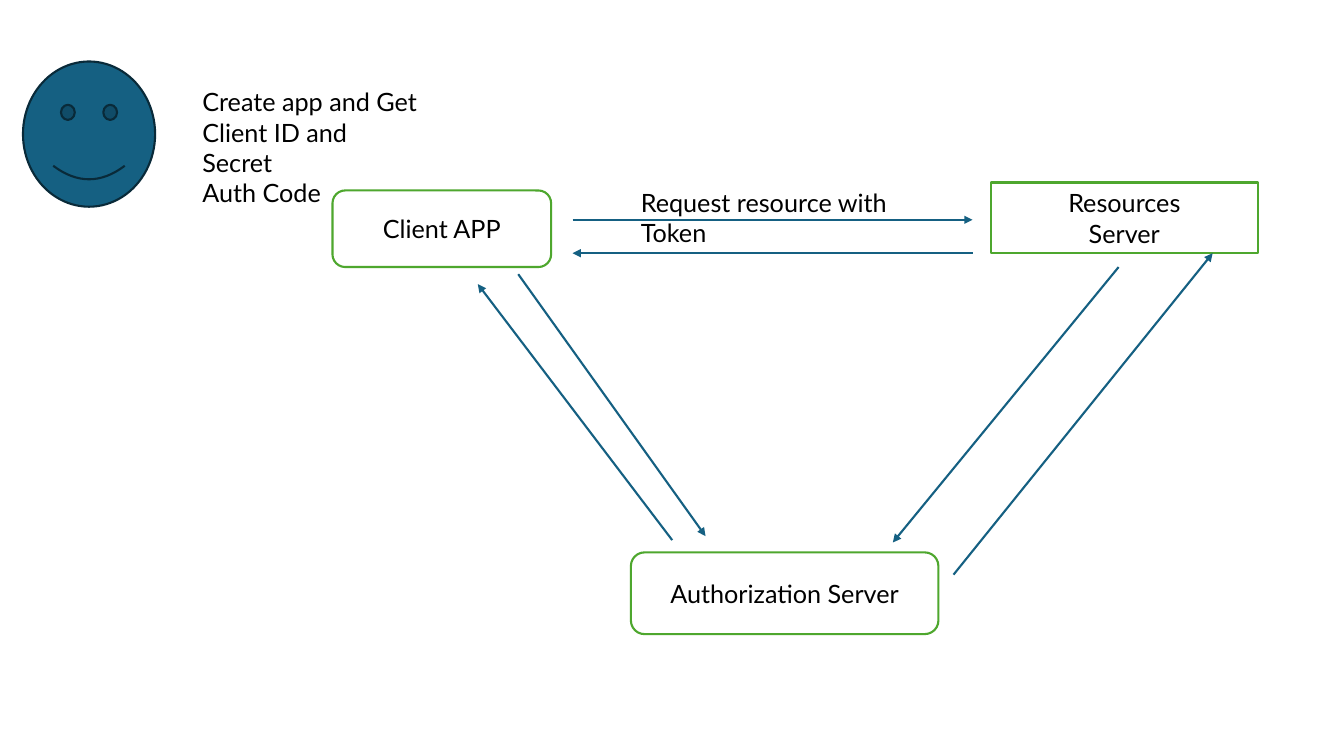
from pptx import Presentation
from pptx.dml.color import RGBColor
from pptx.enum.shapes import MSO_CONNECTOR, MSO_SHAPE
from pptx.enum.text import MSO_ANCHOR, PP_ALIGN
from pptx.oxml.ns import qn
from pptx.util import Cm, Pt
from lxml.etree import SubElement

BLUE = RGBColor(0x15, 0x60, 0x82)
NAVY = RGBColor(0x09, 0x2A, 0x39)
GREEN = RGBColor(0x4E, 0xA7, 0x2E)
WHITE = RGBColor(0xFF, 0xFF, 0xFF)
BLACK = RGBColor(0x00, 0x00, 0x00)

# Boxes: left, top, width, height in cm
USER = (0.58, 1.55, 3.33, 3.66)
NOTE = (4.85, 2.06, 6.02, 2.57)
CLIENT = (8.38, 4.8, 5.51, 1.93)
AUTH = (15.9, 13.92, 7.75, 2.06)
RESOURCES = (24.97, 4.6, 6.73, 1.78)


def write(tf, lines, align):
    tf.word_wrap = True
    p = tf.paragraphs[0]
    p.alignment = align
    for i, line in enumerate(lines):
        if i:
            p.add_line_break()
        r = p.add_run()
        r.text = line
        r.font.name = "Lato"
        r.font.size = Pt(18)
        r.font.color.rgb = BLACK


def add_shape(s, kind, box, fill, line):
    sp = s.shapes.add_shape(kind, *map(Cm, box))
    sp.shadow.inherit = False
    sp.fill.solid()
    sp.fill.fore_color.rgb = fill
    sp.line.color.rgb = line
    sp.line.width = Pt(1.5)
    return sp


def add_node(s, kind, box, *lines):
    tf = add_shape(s, kind, box, WHITE, GREEN).text_frame
    tf.vertical_anchor = MSO_ANCHOR.MIDDLE
    write(tf, lines, PP_ALIGN.CENTER)


def add_label(s, box, *lines):
    write(s.shapes.add_textbox(*map(Cm, box)).text_frame, lines, PP_ALIGN.LEFT)


def add_arrow(s, x1, y1, x2, y2):
    c = s.shapes.add_connector(MSO_CONNECTOR.STRAIGHT, Cm(x1), Cm(y1), Cm(x2), Cm(y2))
    c.line.color.rgb = BLUE
    c.line.width = Pt(1.5)
    SubElement(c.line._get_or_add_ln(), qn("a:tailEnd"), type="triangle")
    SubElement(c._element.spPr, qn("a:effectLst"))


def user_region(s, user, note):
    add_shape(s, MSO_SHAPE.SMILEY_FACE, user, BLUE, NAVY)
    add_label(s, note, "Create app and Get", "Client ID and Secret", "Auth Code")


def client_auth_flow(s, client, auth):
    bottom = client[1] + client[3]
    x, y = client[0], auth[1]
    add_arrow(s, x + 4.68, bottom + 0.18, auth[0] + 1.88, y - 0.41)
    add_arrow(s, auth[0] + 1.04, y - 0.31, x + 3.66, bottom + 0.43)


def client_resource_flow(s, client, resources):
    left = client[0] + client[2] + 0.54
    right = resources[0] - 0.46
    top = resources[1]
    bottom = top + resources[3]
    add_arrow(s, left, top + 0.94, right, top + 0.94)
    add_label(s, (left + 1.47, top, 8.41, 1.02), "Request resource with Token")
    add_arrow(s, right, bottom, left, bottom)


def resource_auth_flow(s, resources, auth):
    x, bottom = resources[0], resources[1] + resources[3]
    right, y = auth[0] + auth[2], auth[1]
    add_arrow(s, x + 3.22, bottom + 0.35, right - 1.15, y - 0.25)
    add_arrow(s, right + 0.38, y + 0.56, x + 5.59, bottom)


def main():
    prs = Presentation()
    prs.slide_width, prs.slide_height = Cm(33.87), Cm(19.05)
    s = prs.slides.add_slide(prs.slide_layouts[6])

    # User and registration note
    user_region(s, USER, NOTE)

    # Parties
    add_node(s, MSO_SHAPE.ROUNDED_RECTANGLE, CLIENT, "Client APP")
    add_node(s, MSO_SHAPE.ROUNDED_RECTANGLE, AUTH, "Authorization Server")
    add_node(s, MSO_SHAPE.RECTANGLE, RESOURCES, "Resources", "Server")

    # Exchanges between the parties
    client_auth_flow(s, CLIENT, AUTH)
    client_resource_flow(s, CLIENT, RESOURCES)
    resource_auth_flow(s, RESOURCES, AUTH)

    prs.save("out.pptx")


if __name__ == "__main__":
    main()
